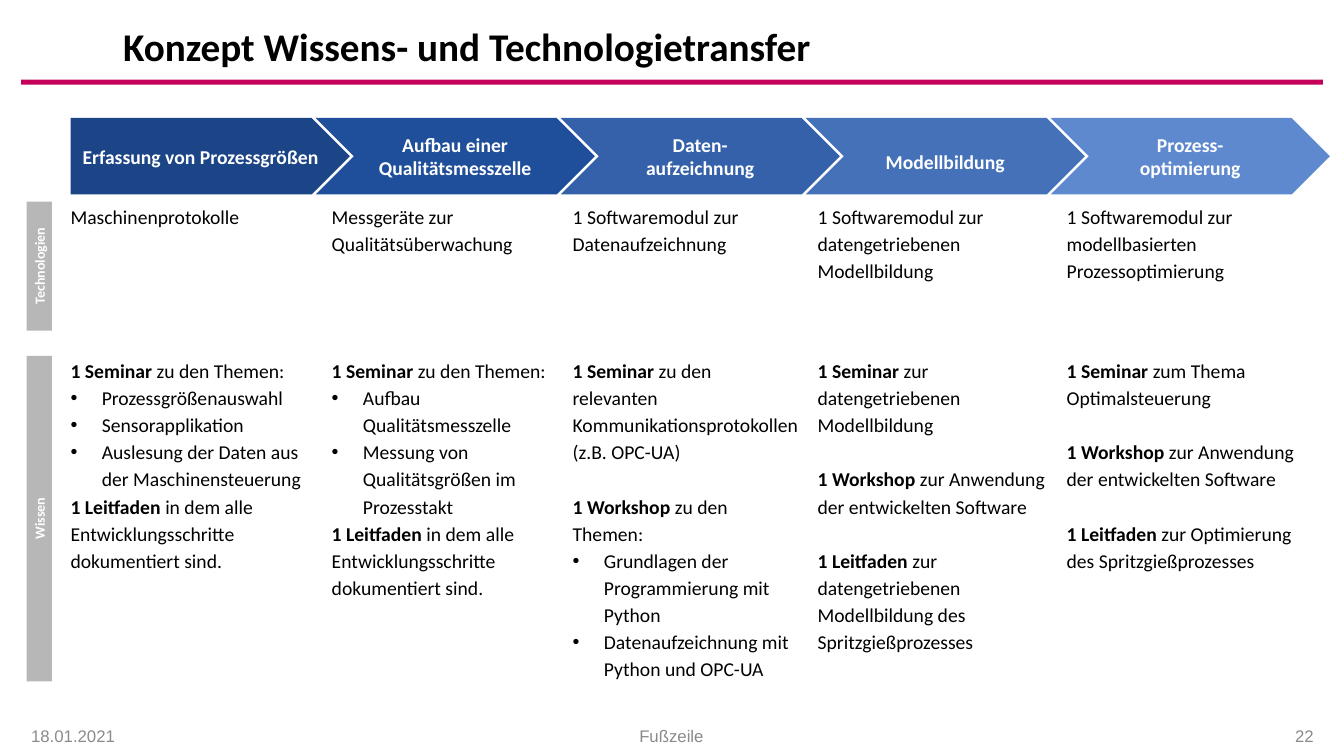
from lxml.etree import SubElement
from pptx import Presentation
from pptx.dml.color import RGBColor
from pptx.enum.shapes import MSO_SHAPE
from pptx.enum.text import MSO_ANCHOR, MSO_AUTO_SIZE, PP_ALIGN
from pptx.oxml.ns import qn
from pptx.util import Inches, Pt

LEFT, CENTER, RIGHT = PP_ALIGN.LEFT, PP_ALIGN.CENTER, PP_ALIGN.RIGHT
TOP, MIDDLE = MSO_ANCHOR.TOP, MSO_ANCHOR.MIDDLE
BULLET, GAP = "bullet", "gap"
LINE_HEIGHT = 19.3  # points, one body line at 1.15 spacing


def write(box, paras, size=14, color="000000", font="Calibri", bold=False,
          align=LEFT, anchor=TOP, spacing=1.0, insets=(0, 0, 0, 0)):
    """Fill a shape with paragraphs, each a tuple (bold lead, text, *kinds)."""
    frame = box.text_frame
    sides = ("margin_left", "margin_top", "margin_right", "margin_bottom")
    layout = dict(zip(sides, map(Inches, insets)), word_wrap=True,
                  auto_size=MSO_AUTO_SIZE.NONE, vertical_anchor=anchor)
    for name, value in layout.items():
        setattr(frame, name, value)
    for index, (lead, text, *kinds) in enumerate(paras):
        para = frame.add_paragraph() if index else frame.paragraphs[0]
        para.alignment, para.line_spacing = align, spacing
        para.space_before = Pt(LINE_HEIGHT if GAP in kinds else 0)
        if BULLET in kinds:
            props = para._p.get_or_add_pPr()
            props.set("marL", str(Inches(0.31)))
            props.set("indent", str(-Inches(0.31)))
            SubElement(props, qn("a:buFont"), typeface="Arial")
            SubElement(props, qn("a:buChar"), char="•")
        for part, heavy in ((lead, True), (text, bold)):
            for line_index, line in enumerate(part.split("\n") if part else []):
                if line_index:
                    para.add_line_break()
                span = para.add_run()
                span.text = line
                look = {"name": font, "size": Pt(size), "bold": heavy}
                for name, value in look.items():
                    setattr(span.font, name, value)
                span.font.color.rgb = RGBColor.from_string(color)


def add_block(kind, left, top, width, height, color):
    block = page.shapes.add_shape(kind, *map(Inches, (left, top, width, height)))
    block.shadow.inherit = False
    block.fill.solid()
    block.fill.fore_color.rgb = RGBColor.from_string(color)
    block.line.fill.background()
    return block


deck = Presentation()
deck.slide_width, deck.slide_height = Inches(13.33), Inches(7.5)
page = deck.slides.add_slide(deck.slide_layouts[5])

# Title and rule
add_block(MSO_SHAPE.RECTANGLE, 0.21, 0.79, 12.91, 0.05, "C5005A")
title = page.shapes.title
frame_values = {"left": 1.12, "top": 0.21, "width": 11.08, "height": 0.55}
for name, value in frame_values.items():
    setattr(title, name, Inches(value))
write(title, [("", "Konzept Wissens- und Technologietransfer")], size=28,
      bold=True, anchor=MIDDLE, spacing=0.9, insets=(0.1, 0.05, 0.1, 0.05))

# Footer
for left, width, text, align in ((0.21, 2.13, "18.01.2021", LEFT),
                                 (2.41, 8.5, "Fußzeile", CENTER),
                                 (11, 2.13, "22", RIGHT)):
    box = page.shapes.add_textbox(*map(Inches, (left, 7.1, width, 0.39)))
    write(box, [("", text)], size=12, color="8B8B8B", font="Arial",
          align=align, anchor=MIDDLE, insets=(0.1, 0.05, 0.1, 0.05))

# Row labels, turned to read upwards
ROWS = {"Technologien": (2.0, 1.28), "Wissen": (3.53, 3.23)}
LABEL_CENTER, LABEL_WIDTH = 0.39, 0.25
for name, (top, height) in ROWS.items():
    label = add_block(MSO_SHAPE.RECTANGLE, LABEL_CENTER - height / 2,
                      top + (height - LABEL_WIDTH) / 2, height, LABEL_WIDTH, "B7B7B7")
    label.rotation = 270
    write(label, [("", name)], size=10, color="FFFFFF", bold=True,
          align=CENTER, anchor=MIDDLE, insets=(0, 0.1, 0, 0.1))

# Process steps: heading, colour, text left, text width, technology, knowledge
GUIDE = ("1 Leitfaden ", "in dem alle Entwicklungsschritte dokumentiert sind.")
WORKSHOP = ("1 Workshop ", "zur Anwendung der entwickelten Software", GAP)
STEPS = [
    ("Erfassung von Prozessgrößen", "1C4587", 0.7, 2.43, "Maschinenprotokolle",
     [("1 Seminar ", "zu den Themen:"),
      ("", "Prozessgrößenauswahl", BULLET),
      ("", "Sensorapplikation", BULLET),
      ("", "Auslesung der Daten aus der Maschinensteuerung", BULLET),
      GUIDE]),
    ("Aufbau einer Qualitätsmesszelle", "1F4E9A", 3.29, 2.22,
     "Messgeräte zur Qualitätsüberwachung",
     [("1 Seminar ", "zu den Themen:"),
      ("", "Aufbau Qualitätsmesszelle", BULLET),
      ("", "Messung von Qualitätsgrößen im Prozesstakt", BULLET),
      GUIDE]),
    ("Daten-\naufzeichnung", "3461A9", 5.68, 2.26,
     "1 Softwaremodul zur Datenaufzeichnung",
     [("1 Seminar ", "zu den relevanten Kommunikationsprotokollen (z.B. OPC-UA)"),
      ("1 Workshop ", "zu den Themen:", GAP),
      ("", "Grundlagen der Programmierung mit Python", BULLET),
      ("", "Datenaufzeichnung mit Python und OPC-UA", BULLET)]),
    ("Modellbildung", "4471B8", 8.11, 2.3,
     "1 Softwaremodul zur datengetriebenen Modellbildung",
     [("1 Seminar ", "zur datengetriebenen Modellbildung"),
      WORKSHOP,
      ("1 Leitfaden ", "zur datengetriebenen Modellbildung des Spritzgießprozesses",
       GAP)]),
    ("Prozess-\noptimierung", "5E89CF", 10.58, 2.3,
     "1 Softwaremodul zur modellbasierten Prozessoptimierung",
     [("1 Seminar ", "zum Thema Optimalsteuerung"),
      WORKSHOP,
      ("1 Leitfaden ", "zur Optimierung des Spritzgießprozesses", GAP)]),
]
FIRST_LEFT, STEP_PITCH = 0.7, 2.43
for column, (heading, color, left, width, technology, knowledge) in enumerate(STEPS):
    kind = MSO_SHAPE.CHEVRON if column else MSO_SHAPE.PENTAGON
    arrow = add_block(kind, FIRST_LEFT + column * STEP_PITCH, 1.17, 2.77, 0.76, color)
    side = 0 if column else 0.1
    upper = 0.2 if heading == "Modellbildung" else 0.1
    write(arrow, [("", heading)], color="FFFFFF", bold=True, align=CENTER,
          anchor=MIDDLE, insets=(side, upper, side, 0.1))
    for (top, height), paras in zip(ROWS.values(), ([("", technology)], knowledge)):
        box = page.shapes.add_textbox(*map(Inches, (left, top, width, height)))
        write(box, paras, spacing=1.15)

deck.save("out.pptx")
